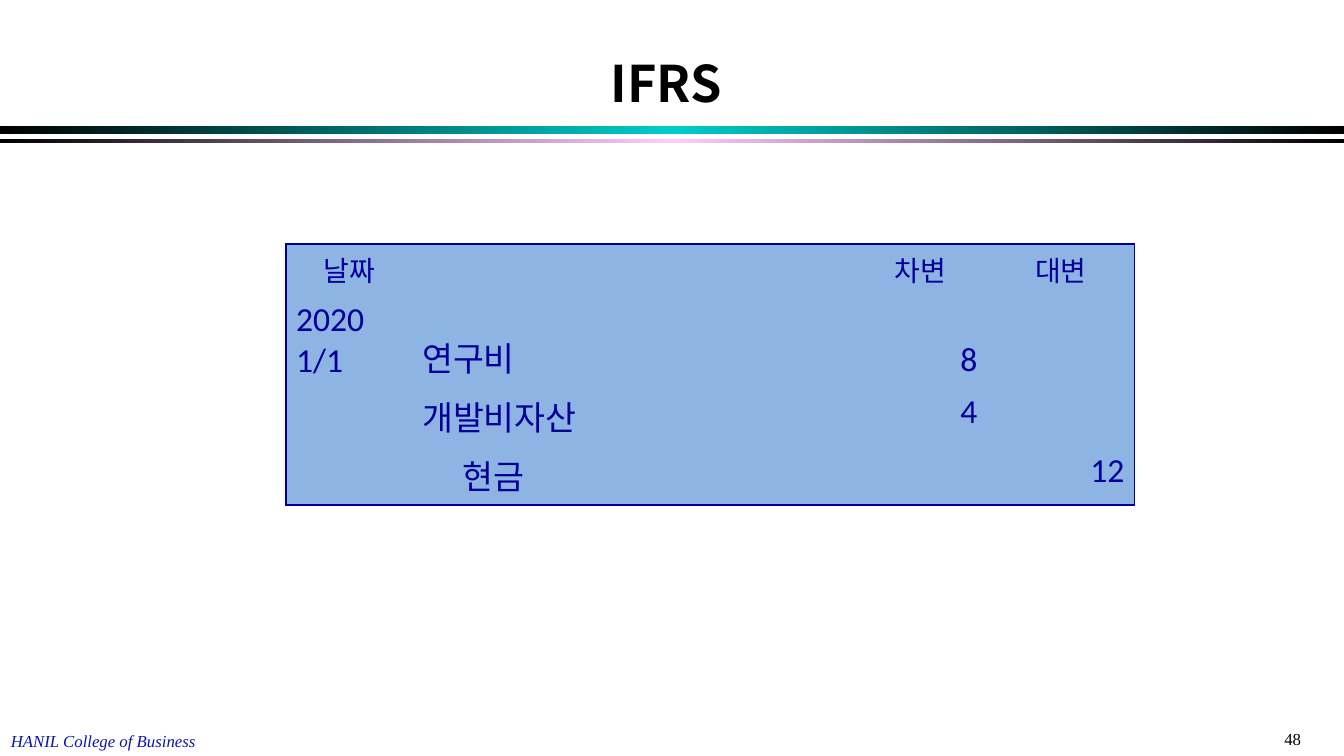
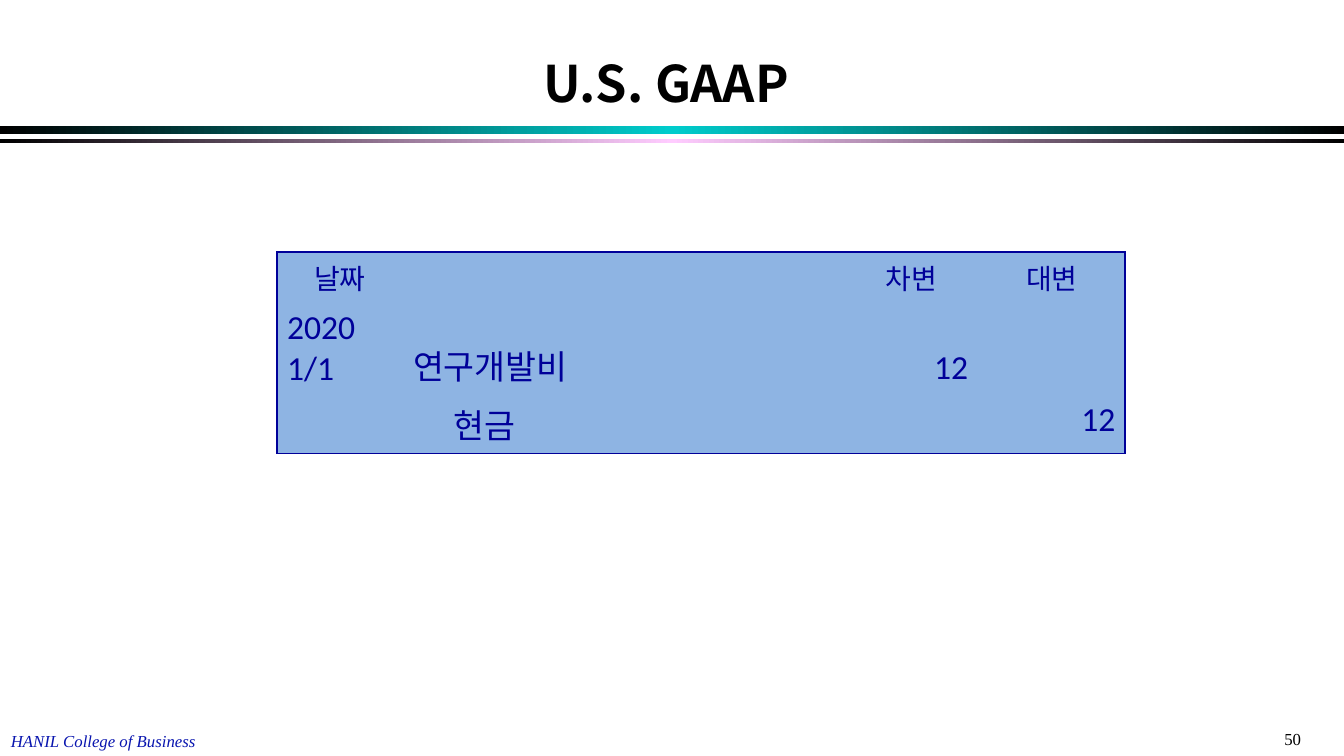
import copy
import pptx
import pptx.util
import pptx.dml.color
import pptx.enum.shapes
import pptx.enum.text
import pptx.oxml
import pptx.oxml.ns

# Content
HEADER = ("날짜", "", "차변", "대변")
DATE = "2020\n1/1"
FOOTER = "HANIL College of Business"
JOURNALS = [
    {"title": "IFRS", "page": "48", "left": 284, "top": 242,
     "entries": [(DATE, "연구비", "8", ""),
                 ("", "개발비자산", "4", ""),
                 ("", "현금", "", "12")]},
    {"title": "U.S. GAAP", "page": "50", "left": 275, "top": 250,
     "entries": [(DATE, "연구개발비", "12", ""),
                 ("", "현금", "", "12")]},
]

# Shared look, lengths in px at 100 px to the inch
PX = 9144
COLORS = {"black": "000000", "teal": "00CCCC", "pink": "FFCCFF",
          "footer": "0915AF", "ink": "000099", "cell": "8EB4E3"}
BANDS = [(125, 8, "teal"), (138, 4, "pink")]
COLUMN_WIDTHS = (125, 438, 133, 146)
HEADER_HEIGHT, DATE_HEIGHT, ENTRY_HEIGHT = 50, 91, 59
CREDIT_INDENT = 40
BORDER_PT = 1.5
KOREAN, LATIN, SERIF = "Noto Sans CJK KR", "Calibri", "Times New Roman"
NO_STYLE = "{2D5ABB26-0587-4C30-8999-92F81FD0307C}"
ALIGN = pptx.enum.text.PP_ALIGN
ANCHOR = pptx.enum.text.MSO_ANCHOR


def px(*lengths):
    return [pptx.util.Emu(length * PX) for length in lengths]


def rgb(name):
    return pptx.dml.color.RGBColor.from_string(COLORS[name])


def write(frame, text, size, font=LATIN, color="ink", bold=False, italic=False,
          align=ALIGN.LEFT, indent=0, before=0):
    for number, line in enumerate(text.split("\n")):
        paragraph = frame.add_paragraph() if number else frame.paragraphs[0]
        paragraph.alignment = align
        paragraph.space_before = pptx.util.Pt(before)
        if indent:
            properties = paragraph._p.get_or_add_pPr()
            properties.set("marL", str(indent * PX))
            properties.set("indent", "0")
        run = paragraph.add_run()
        run.text = line
        run.font.size = pptx.util.Pt(size)
        run.font.name = font
        run.font.bold = bold
        run.font.italic = italic
        run.font.color.rgb = rgb(color)
        east_asian = pptx.oxml.parse_xml(
            f'<a:ea {pptx.oxml.ns.nsdecls("a")} typeface="{KOREAN}"/>')
        run._r.get_or_add_rPr().append(east_asian)


def add_band(slide, top, height, glow):
    band = slide.shapes.add_shape(pptx.enum.shapes.MSO_SHAPE.RECTANGLE,
                                  *px(0, top, 1334, height))
    band.shadow.inherit = False
    band.line.fill.background()
    band.fill.gradient()
    band.fill.gradient_angle = 0
    stop_list = band._element.xpath(".//a:gsLst")[0]
    stop_list.insert(1, copy.deepcopy(stop_list[0]))
    stops = zip(band.fill.gradient_stops, (0, 0.5, 1), ("black", glow, "black"))
    for stop, position, color in stops:
        stop.position = position
        stop.color.rgb = rgb(color)


def add_label(slide, text, box, **style):
    frame = slide.shapes.add_textbox(*px(*box)).text_frame
    frame.word_wrap = True
    write(frame, text, 12, font=SERIF, **style)


def set_borders(cell, sides):
    properties = cell._tc.get_or_add_tcPr()
    for place, side in enumerate(sides):
        properties.insert(place, pptx.oxml.parse_xml(
            f'<a:ln{side} {pptx.oxml.ns.nsdecls("a")} w="{int(BORDER_PT * 12700)}">'
            f'<a:solidFill><a:srgbClr val="{COLORS["ink"]}"/></a:solidFill>'
            f'</a:ln{side}>'))


def add_journal(slide, left, top, entries):
    rows = [HEADER, *entries]
    heights = [HEADER_HEIGHT, DATE_HEIGHT] + [ENTRY_HEIGHT] * (len(entries) - 1)
    journal = slide.shapes.add_table(
        len(rows), len(HEADER),
        *px(left, top, sum(COLUMN_WIDTHS), sum(heights))).table
    journal.first_row = journal.horz_banding = False
    journal._tbl.tblPr.xpath("a:tableStyleId")[0].text = NO_STYLE
    for column, width in zip(journal.columns, COLUMN_WIDTHS):
        column.width = px(width)[0]
    last_row, last_column = len(rows) - 1, len(HEADER) - 1
    for r, values in enumerate(rows):
        journal.rows[r].height = px(heights[r])[0]
        for c, value in enumerate(values):
            cell = journal.cell(r, c)
            cell.fill.solid()
            cell.fill.fore_color.rgb = rgb("cell")
            edges = {"L": c == 0, "R": c == last_column,
                     "T": r == 0, "B": r == last_row}
            set_borders(cell, [side for side, outer in edges.items() if outer])
            if not value:
                continue
            # The first entry sits level with the second line of its date
            low = r == 0 or (r == 1 and c > 0)
            cell.vertical_anchor = ANCHOR.BOTTOM if low else ANCHOR.TOP
            if r == 0:
                write(cell.text_frame, value, 20, align=ALIGN.CENTER)
            else:
                is_credit = c == 1 and values[3]
                write(cell.text_frame, value, 24,
                      align=ALIGN.RIGHT if c > 1 else ALIGN.LEFT,
                      indent=CREDIT_INDENT if is_credit else 0)


def add_slide(deck, title, page, left, top, entries):
    slide = deck.slides.add_slide(deck.slide_layouts[5])
    for band in BANDS:
        add_band(slide, *band)
    add_label(slide, page, (1265, 718, 69, 30), color="black", before=7.5)
    add_label(slide, FOOTER, (1, 720, 260, 30), color="footer", italic=True)
    heading = slide.shapes.title
    heading.left, heading.top, heading.width, heading.height = px(89, 25, 1144, 92)
    heading.text_frame.vertical_anchor = ANCHOR.BOTTOM
    heading.text_frame.auto_size = pptx.enum.text.MSO_AUTO_SIZE.NONE
    write(heading.text_frame, title, 36, font=KOREAN, color="black",
          bold=True, align=ALIGN.CENTER)
    add_journal(slide, left, top, entries)


def main():
    deck = pptx.Presentation()
    deck.slide_width, deck.slide_height = px(1334, 750)
    for journal in JOURNALS:
        add_slide(deck, **journal)
    deck.save("out.pptx")


if __name__ == "__main__":
    main()
